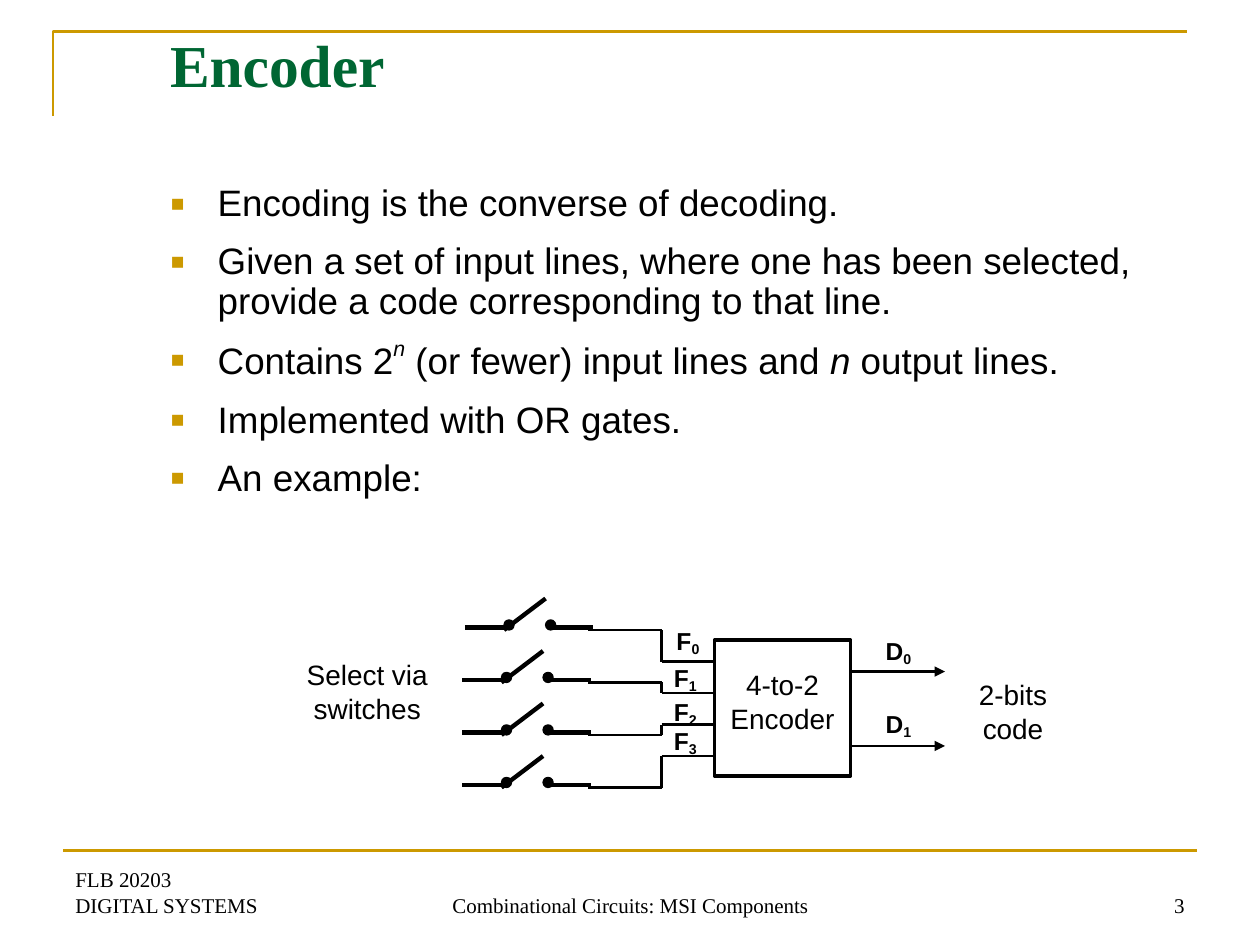
"""Builds the Encoder slide with its bullets and 4-to-2 encoder circuit."""
import pptx
import pptx.util
import pptx.dml.color
import pptx.enum.shapes
import pptx.enum.text
import pptx.oxml.ns
from lxml import etree

Inches, Pt = pptx.util.Inches, pptx.util.Pt
ALIGN = pptx.enum.text.PP_ALIGN
ANCHOR = pptx.enum.text.MSO_ANCHOR
SHAPE = pptx.enum.shapes.MSO_SHAPE

BLACK, GOLD, GREEN = "000000", "CC9900", "006633"
SANS, SERIF = "Arial", "Times New Roman"
ITALIC = {"italic": True}
SUPERSCRIPT = {"italic": True, "baseline": 50}
SUBSCRIPT = {"baseline": -16}

TITLE = "Encoder"
BULLETS = [
    "Encoding is the converse of decoding.",
    "Given a set of input lines, where one has been selected, "
    "provide a code corresponding to that line.",
    [("Contains 2", {}), ("n", SUPERSCRIPT), (" (or fewer) input lines and ", {}),
     ("n", ITALIC), (" output lines.", {})],
    "Implemented with OR gates.",
    "An example:",
]
FOOTERS = [
    ("FLB 20203\nDIGITAL SYSTEMS", 0.5, 2.33, ALIGN.LEFT),
    ("Combinational Circuits: MSI Components", 3.42, 3.17, ALIGN.CENTER),
    ("3", 7.17, 2.33, ALIGN.RIGHT),
]
CAPTIONS = [
    ("4-to-2 Encoder", (5.67, 5.25, 1.08, 0.64)),
    ("Select via switches", (2.33, 5.17, 1.17, 0.64)),
    ("2-bits code", (7.58, 5.33, 0.92, 0.64)),
]
SIGNALS = [
    ("F", "0", (5.25, 4.92, 0.42, 0.35)),
    ("F", "1", (5.25, 5.21, 0.38, 0.35)),
    ("F", "2", (5.25, 5.48, 0.38, 0.35)),
    ("F", "3", (5.25, 5.71, 0.38, 0.35)),
    ("D", "0", (6.92, 5, 0.42, 0.35)),
    ("D", "1", (6.92, 5.58, 0.42, 0.35)),
]
ENCODER = (5.67, 5.08, 1.08, 1.08)
SWITCH_LEFTS = [4, 3.98, 3.98, 3.98]
SWITCH_TOP, SWITCH_PITCH = 4.92, 1.25 / 3
SWITCH_STROKES = [
    ((0.33, -0.17), (0, 0.08)),
    ((-0.31, 0.06), (0.02, 0.06)),
    ((0.38, 0.06), (0.71, 0.06)),
]
DOT_OFFSETS, DOT_SIZE = (0, 0.33), 0.08
WIRE_LEFT, WIRE_BEND, WIRE_TOP = 4.67, 5.25, 5
INPUT_TOP, INPUT_PITCH = 5.25, 0.25
OUTPUT_ROWS, OUTPUT_END = (5.33, 5.92), 7.5


def color(value):
    return pptx.dml.color.RGBColor.from_string(value)


def add_child(parent, tag, **attributes):
    return etree.SubElement(parent, pptx.oxml.ns.qn(tag), **attributes)


def write(frame, paragraphs, size=16, font=SANS, fill=BLACK, bold=False, align=ALIGN.LEFT,
          anchor=ANCHOR.TOP, spacing=None, before=0, bullet=None):
    frame.word_wrap = True
    frame.auto_size = pptx.enum.text.MSO_AUTO_SIZE.NONE
    frame.vertical_anchor = anchor
    for index, content in enumerate(paragraphs):
        paragraph = frame.add_paragraph() if index else frame.paragraphs[0]
        paragraph.alignment = align
        paragraph.line_spacing = spacing
        paragraph.space_before = Pt(before if index else 0)
        if bullet:
            properties = paragraph._p.get_or_add_pPr()
            properties.set("marL", str(Inches(0.38)))
            properties.set("indent", str(-Inches(0.38)))
            add_child(add_child(properties, "a:buClr"), "a:srgbClr", val=GOLD)
            add_child(properties, "a:buSzPct", val="120000")
            add_child(properties, "a:buFont", typeface=font)
            add_child(properties, "a:buChar", char=bullet)
        paragraph.font.size = Pt(size)
        runs = [(content, {})] if isinstance(content, str) else content
        for text, style in runs:
            for position, part in enumerate(text.split("\n")):
                if position:
                    paragraph.add_line_break()
                run = paragraph.add_run()
                run.text = part
                run.font.name, run.font.size = font, Pt(size)
                run.font.bold = bold
                run.font.italic = style.get("italic", False)
                run.font.color.rgb = color(fill)
                if "baseline" in style:
                    run._r.get_or_add_rPr().set("baseline", str(style["baseline"] * 1000))


def add_text(slide, box, paragraphs, **style):
    write(slide.shapes.add_textbox(*map(Inches, box)).text_frame, paragraphs, **style)


def add_line(slide, start, end, width=1.5, stroke=BLACK, arrow=False):
    connector = slide.shapes.add_connector(
        pptx.enum.shapes.MSO_CONNECTOR.STRAIGHT, *map(Inches, (*start, *end)))
    connector.line.color.rgb = color(stroke)
    connector.line.width = Pt(width)
    if arrow:
        add_child(connector.line._get_or_add_ln(), "a:tailEnd", type="triangle")
    add_child(connector._element.spPr, "a:effectLst")


def add_shape(slide, kind, box, width, fill=None):
    shape = slide.shapes.add_shape(kind, *map(Inches, box))
    shape.shadow.inherit = False
    if fill:
        shape.fill.solid()
        shape.fill.fore_color.rgb = color(fill)
    else:
        shape.fill.background()
    shape.line.color.rgb = color(BLACK)
    shape.line.width = Pt(width)


def add_frame(slide):
    builder = slide.shapes.build_freeform(Inches(0.42), Inches(0.92))
    corners = [(0.42, 0.25), (9.42, 0.25)]
    builder.add_line_segments([tuple(map(Inches, corner)) for corner in corners], close=False)
    bracket = builder.convert_to_shape()
    bracket.shadow.inherit = False
    bracket.fill.background()
    bracket.line.color.rgb = color(GOLD)
    bracket.line.width = Pt(1.5)
    add_line(slide, (0.5, 6.75), (9.5, 6.75), stroke=GOLD)
    for text, left, width, align in FOOTERS:
        add_text(slide, (left, 6.83, width, 0.5), [text], size=12, font=SERIF,
                 align=align, anchor=ANCHOR.BOTTOM)


def add_circuit(slide):
    add_shape(slide, SHAPE.RECTANGLE, ENCODER, 2)
    for row in OUTPUT_ROWS:
        add_line(slide, (ENCODER[0] + ENCODER[2], row), (OUTPUT_END, row), arrow=True)
    for index, left in enumerate(SWITCH_LEFTS):
        top = SWITCH_TOP + index * SWITCH_PITCH
        for offset in DOT_OFFSETS:
            add_shape(slide, SHAPE.OVAL, (left + offset, top, DOT_SIZE, DOT_SIZE), 0.75, BLACK)
        for stroke in SWITCH_STROKES:
            start, end = [(left + x, top + y) for x, y in stroke]
            add_line(slide, start, end, width=2.5)
        wire = WIRE_TOP + index * SWITCH_PITCH
        entry = INPUT_TOP + index * INPUT_PITCH
        route = [(WIRE_LEFT, wire), (WIRE_BEND, wire), (WIRE_BEND, entry), (ENCODER[0], entry)]
        for start, end in zip(route, route[1:]):
            add_line(slide, start, end)
    for text, box in CAPTIONS:
        add_text(slide, box, [text], align=ALIGN.CENTER)
    for letter, digit, box in SIGNALS:
        add_text(slide, box, [[(letter, {}), (digit, SUBSCRIPT)]], size=14, bold=True,
                 align=ALIGN.CENTER)


def main():
    presentation = pptx.Presentation()
    presentation.slide_width, presentation.slide_height = Inches(10), Inches(7.5)
    slide = presentation.slides.add_slide(presentation.slide_layouts[5])
    title = slide.shapes.title
    title.left, title.top, title.width, title.height = map(Inches, (1.25, 0.17, 8.5, 1.25))
    write(title.text_frame, [TITLE], size=34, font=SERIF, fill=GREEN, bold=True)
    add_frame(slide)
    add_text(slide, (1.25, 1.42, 8.5, 3.08), BULLETS, size=21, spacing=0.9, before=10.5,
             bullet="▪")
    add_circuit(slide)
    presentation.save("out.pptx")


if __name__ == "__main__":
    main()
